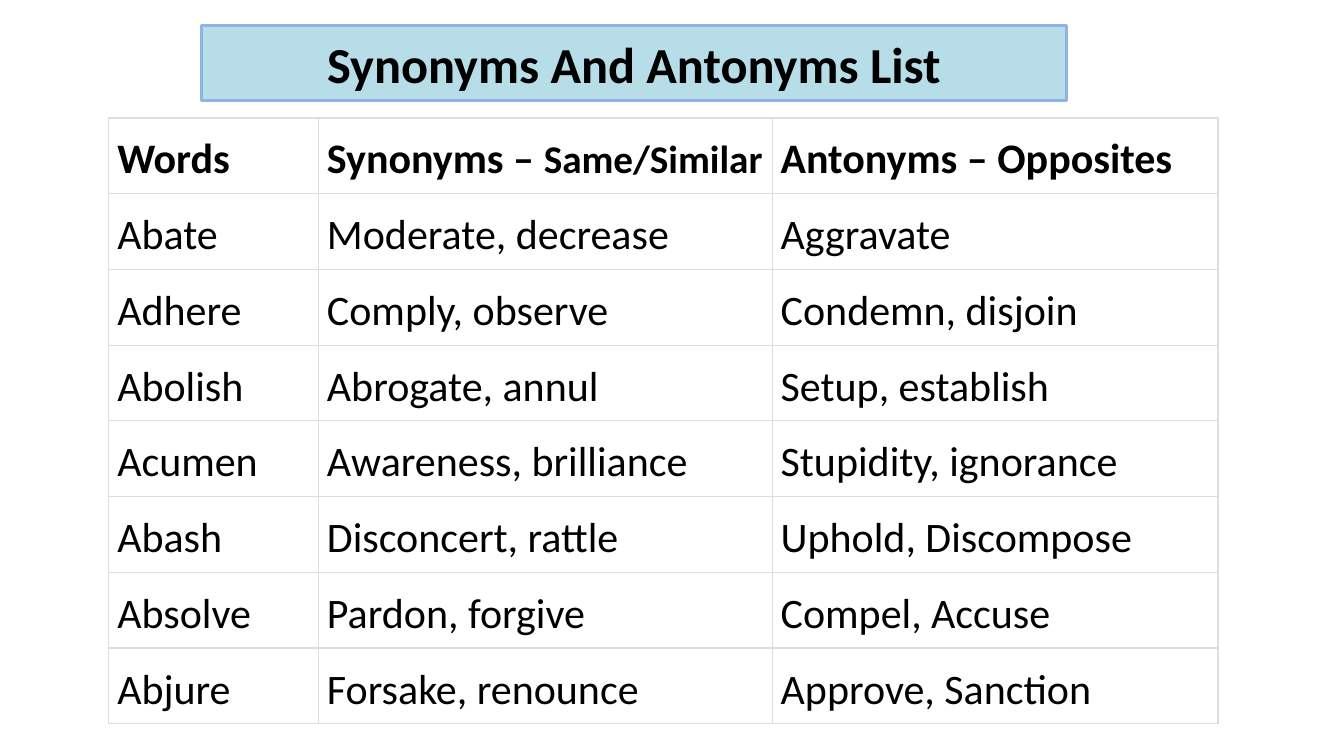
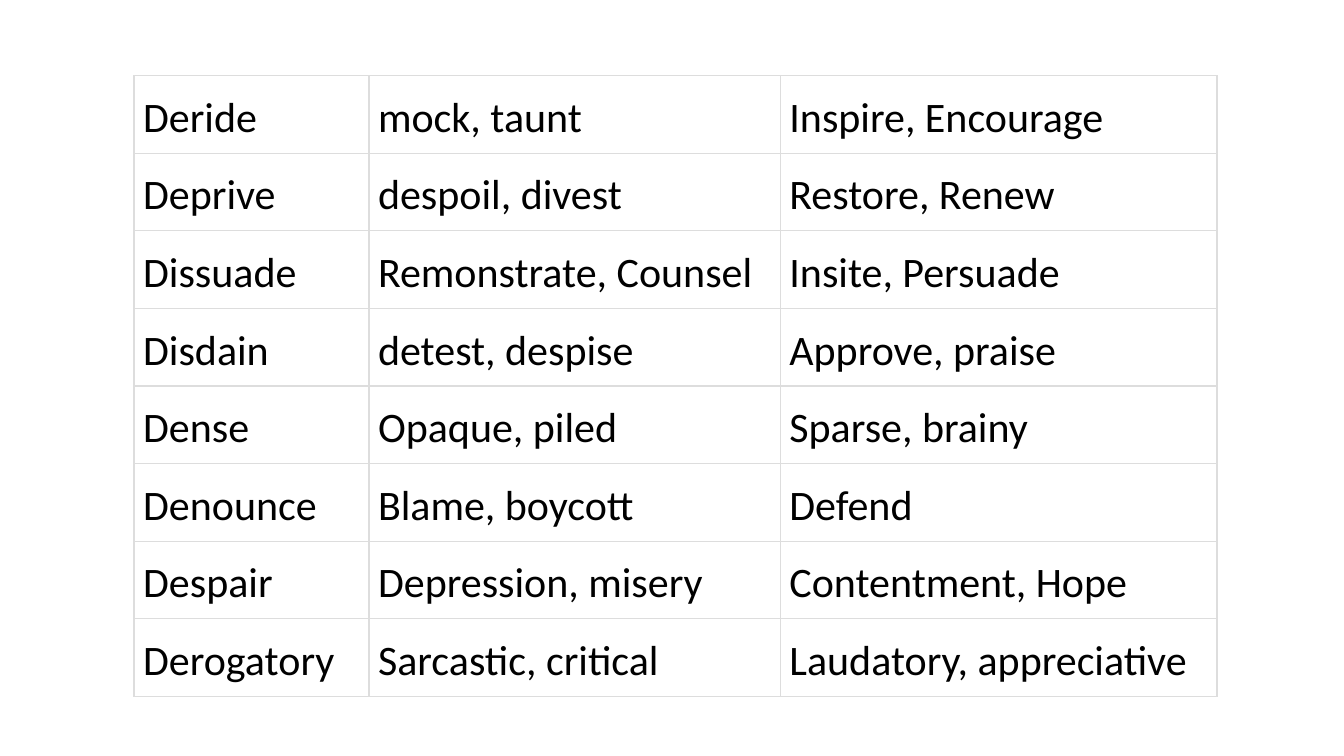
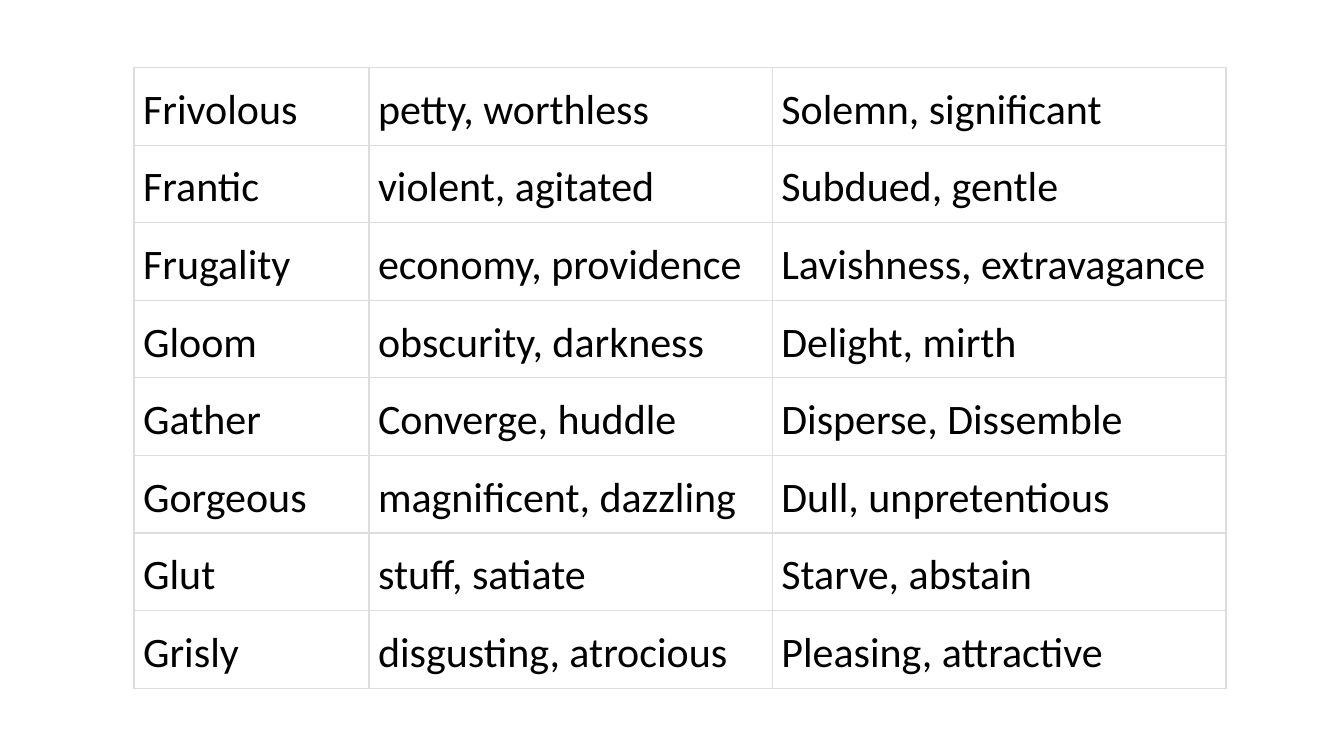
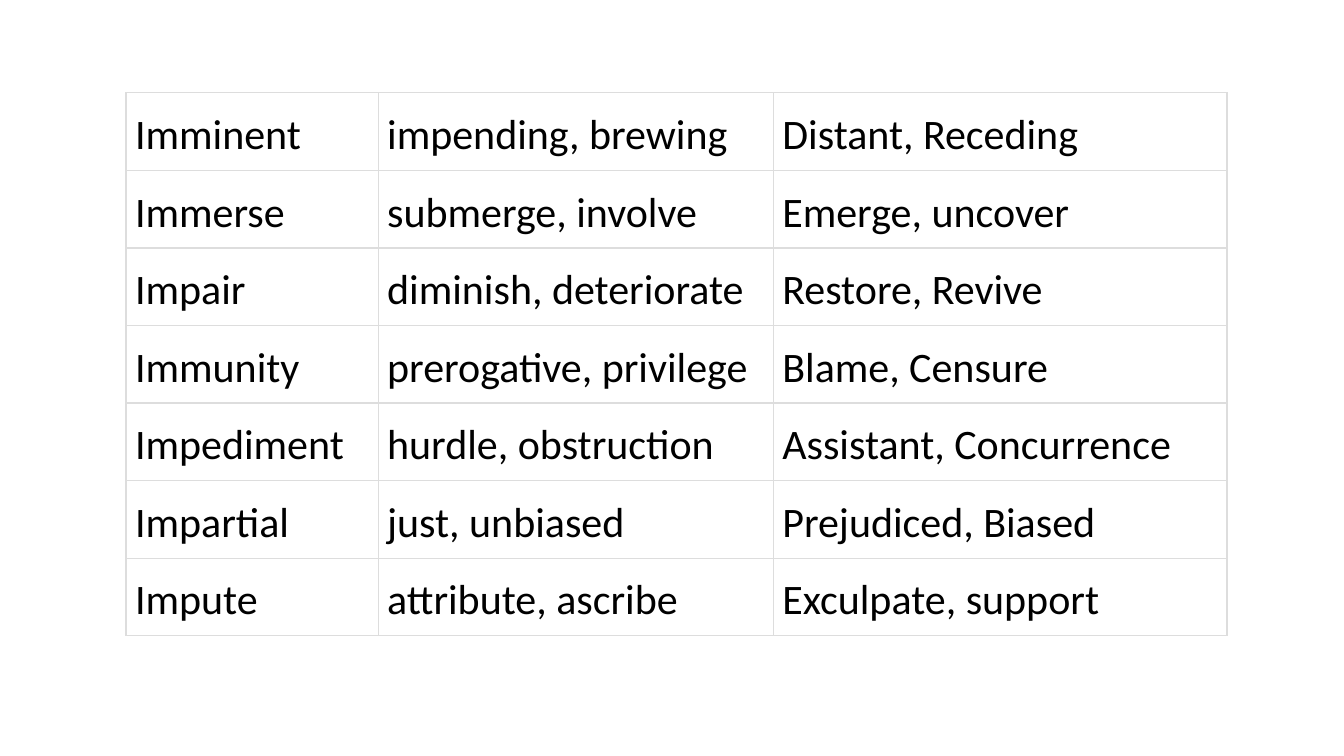
from lxml import etree
from pptx import Presentation
from pptx.dml.color import RGBColor
from pptx.enum.text import MSO_ANCHOR, MSO_AUTO_SIZE, PP_ALIGN
from pptx.oxml.ns import qn
from pptx.util import Inches, Pt

CENTER = PP_ALIGN.CENTER
MIDDLE = MSO_ANCHOR.MIDDLE
TOP = MSO_ANCHOR.TOP
NO_AUTO_SIZE = MSO_AUTO_SIZE.NONE
TITLE_ONLY, BLANK = 5, 6

HEADER = ("Words", "Synonyms – |Same/Similar", "Antonyms – Opposites")
WORDS_A = (
    ("Abate", "Moderate, decrease", "Aggravate"),
    ("Adhere", "Comply, observe", "Condemn, disjoin"),
    ("Abolish", "Abrogate, annul", "Setup, establish"),
    ("Acumen", "Awareness, brilliance", "Stupidity, ignorance"),
    ("Abash", "Disconcert, rattle", "Uphold, Discompose"),
    ("Absolve", "Pardon, forgive", "Compel, Accuse"),
    ("Abjure", "Forsake, renounce", "Approve, Sanction"),
)
WORDS_D = (
    ("Deride", "mock, taunt", "Inspire, Encourage"),
    ("Deprive", "despoil, divest", "Restore, Renew"),
    ("Dissuade", "Remonstrate, Counsel", "Insite, Persuade"),
    ("Disdain", "detest, despise", "Approve, praise"),
    ("Dense", "Opaque, piled", "Sparse, brainy"),
    ("Denounce", "Blame, boycott", "Defend"),
    ("Despair", "Depression, misery", "Contentment, Hope"),
    ("Derogatory", "Sarcastic, critical", "Laudatory, appreciative"),
)
WORDS_F_G = (
    ("Frivolous", "petty, worthless", "Solemn, significant"),
    ("Frantic", "violent, agitated", "Subdued, gentle"),
    ("Frugality", "economy, providence", "Lavishness, extravagance"),
    ("Gloom", "obscurity, darkness", "Delight, mirth"),
    ("Gather", "Converge, huddle", "Disperse, Dissemble"),
    ("Gorgeous", "magnificent, dazzling", "Dull, unpretentious"),
    ("Glut", "stuff, satiate", "Starve, abstain"),
    ("Grisly", "disgusting, atrocious", "Pleasing, attractive"),
)
WORDS_I = (
    ("Imminent", "impending, brewing", "Distant, Receding"),
    ("Immerse", "submerge, involve", "Emerge, uncover"),
    ("Impair", "diminish, deteriorate", "Restore, Revive"),
    ("Immunity", "prerogative, privilege", "Blame, Censure"),
    ("Impediment", "hurdle, obstruction", "Assistant, Concurrence"),
    ("Impartial", "just, unbiased", "Prejudiced, Biased"),
    ("Impute", "attribute, ascribe", "Exculpate, support"),
)


def color(value):
    """Turn a hex string into a colour."""
    return RGBColor.from_string(value)


class WordList:
    """Hold the style and the current slide of the word list."""

    font = "Calibri"
    ink = "000000"
    paper = "FFFFFF"
    grid = "DDDDDD"
    banner_fill = "B7DEE8"
    banner_line = "8EB4E3"
    title_size = 36
    cell_size = 30
    note_size = 28
    line_spacing = 1.15

    def __init__(self):
        """Start a wide presentation."""
        self.presentation = Presentation()
        self.presentation.slide_width = Inches(13.33)
        self.presentation.slide_height = Inches(7.5)
        self.slide = None

    def add_slide(self, layout):
        """Add a slide and make it the current one."""
        layouts = self.presentation.slide_layouts
        self.slide = self.presentation.slides.add_slide(layouts[layout])

    def add_run(self, paragraph, text, size, bold):
        """Add one formatted run."""
        run = paragraph.add_run()
        run.text = text
        run.font.name = self.font
        run.font.size = Pt(size)
        run.font.bold = bold
        run.font.color.rgb = color(self.ink)

    def add_title(self, text, left, top, width, height):
        """Format the title placeholder as a banner."""
        title = self.slide.shapes.title
        title.left, title.top = Inches(left), Inches(top)
        title.width, title.height = Inches(width), Inches(height)
        title.fill.solid()
        title.fill.fore_color.rgb = color(self.banner_fill)
        title.line.color.rgb = color(self.banner_line)
        title.line.width = Pt(2)
        frame = title.text_frame
        frame.auto_size = NO_AUTO_SIZE
        frame.vertical_anchor = MIDDLE
        paragraph = frame.paragraphs[0]
        paragraph.alignment = CENTER
        self.add_run(paragraph, text, self.title_size, True)

    def add_borders(self, cell):
        """Draw the four borders of a cell."""
        properties = cell._tc.get_or_add_tcPr()
        for side in ("a:lnL", "a:lnR", "a:lnT", "a:lnB"):
            line = etree.SubElement(properties, qn(side), w=str(Pt(1)))
            fill = etree.SubElement(line, qn("a:solidFill"))
            etree.SubElement(fill, qn("a:srgbClr"), val=self.grid)

    def fill_cell(self, cell, text, padding, bold):
        """Format a cell; text after a bar is set smaller."""
        self.add_borders(cell)
        cell.fill.solid()
        cell.fill.fore_color.rgb = color(self.paper)
        cell.vertical_anchor = TOP
        cell.margin_left = cell.margin_right = Inches(padding)
        cell.margin_top = cell.margin_bottom = Inches(padding)
        paragraph = cell.text_frame.paragraphs[0]
        paragraph.line_spacing = self.line_spacing
        for part, size in zip(text.split("|"), (self.cell_size, self.note_size)):
            self.add_run(paragraph, part, size, bold)

    def add_table(self, rows, left, top, widths, row_height, padding, header=False):
        """Add a bordered table of words."""
        frame = self.slide.shapes.add_table(
            len(rows), len(widths), Inches(left), Inches(top),
            Inches(sum(widths)), Inches(row_height * len(rows)))
        table = frame.table
        table.first_row = header
        table.horz_banding = False
        for column, width in zip(table.columns, widths):
            column.width = Inches(width)
        for row_index, row in enumerate(rows):
            table.rows[row_index].height = Inches(row_height)
            for column_index, text in enumerate(row):
                cell = table.cell(row_index, column_index)
                self.fill_cell(cell, text, padding, header and row_index == 0)


def main():
    """Build the four slides."""
    deck = WordList()
    deck.add_slide(TITLE_ONLY)
    deck.add_title("Synonyms And Antonyms List", 2, 0.25, 8.58, 0.75)
    deck.add_table((HEADER,) + WORDS_A, 1.08, 1.17, (2.08, 4.5, 4.42),
                   0.75, 1 / 12, header=True)
    for rows, left, top, widths in (
        (WORDS_D, 1.33, 0.75, (2.33, 4.08, 4.33)),
        (WORDS_F_G, 1.33, 0.67, (2.33, 4, 4.5)),
        (WORDS_I, 1.25, 0.92, (2.5, 3.92, 4.5)),
    ):
        deck.add_slide(BLANK)
        deck.add_table(rows, left, top, widths, 0.77, 0.09)
    deck.presentation.save("out.pptx")


if __name__ == "__main__":
    main()
